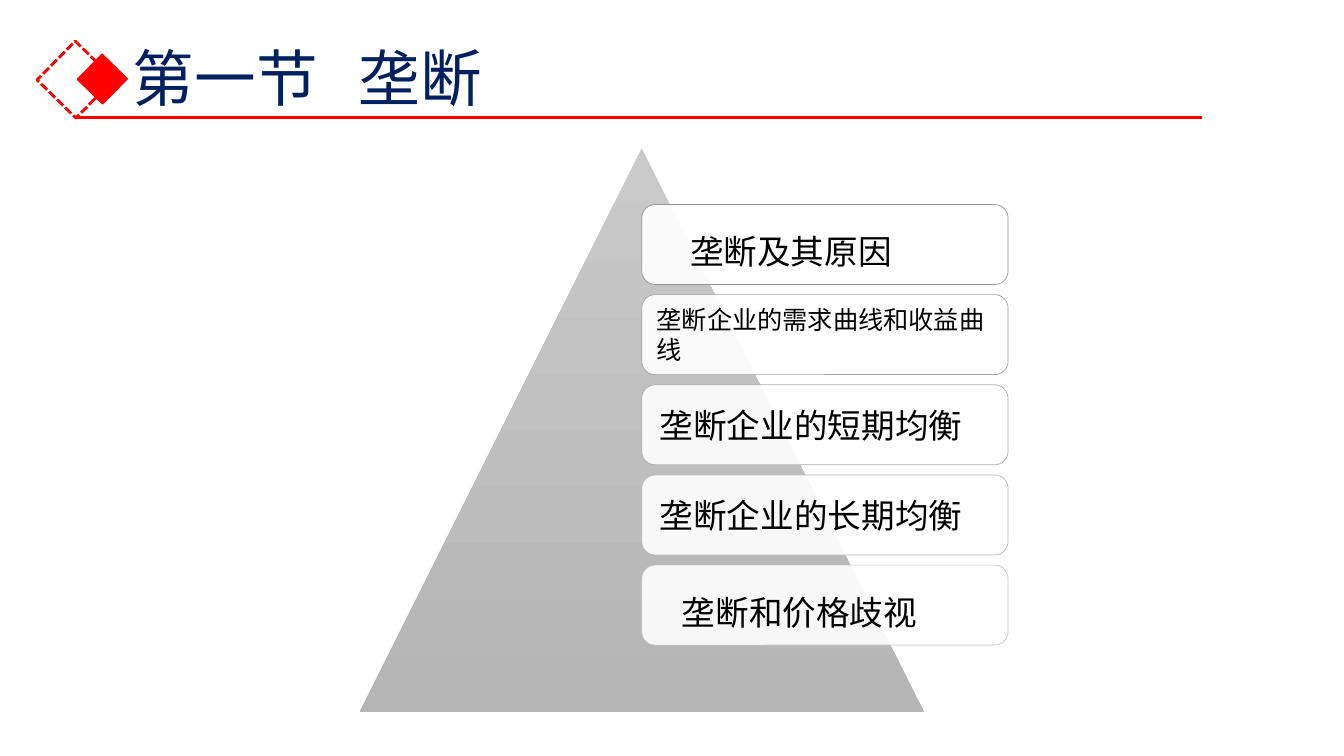
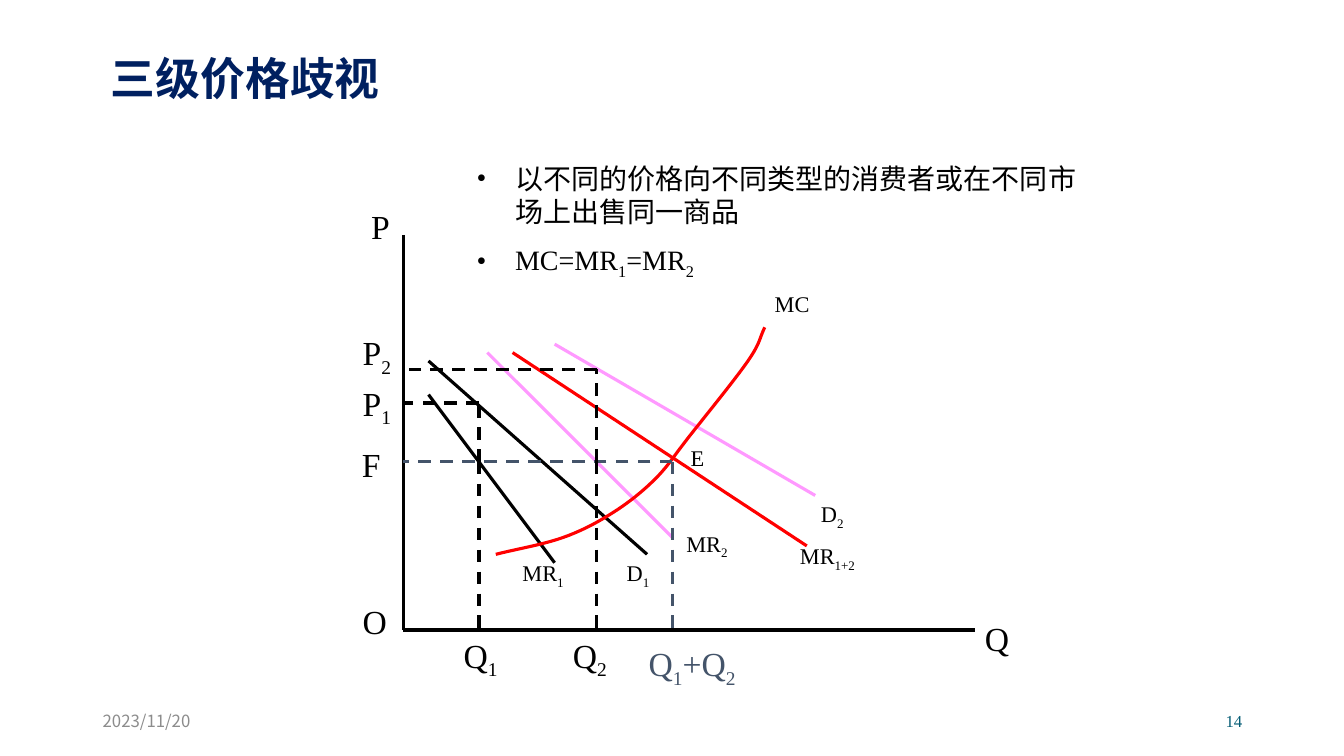
from dataclasses import dataclass
from itertools import pairwise

from lxml.etree import SubElement
from pptx import Presentation
from pptx.dml.color import RGBColor
from pptx.enum.dml import MSO_LINE
from pptx.enum.shapes import MSO_CONNECTOR, MSO_SHAPE
from pptx.enum.text import MSO_ANCHOR, PP_ALIGN
from pptx.oxml.ns import qn
from pptx.util import Inches, Pt


@dataclass(frozen=True)
class Theme:
    """Colours, fonts and sizes shared by all slides."""
    sans: str = "Noto Sans CJK SC"
    serif: str = "Times New Roman"
    navy: str = "002060"
    red: str = "FF0000"
    black: str = "000000"
    white: str = "FFFFFF"
    pink: str = "FF99FF"
    slate: str = "44546A"
    grey: str = "8C8C8C"
    teal: str = "045C75"
    light: str = "C9C9C9"
    dark: str = "B5B5B5"
    section: int = 44
    heading: int = 32
    large: int = 24
    body: int = 20
    medium: int = 18
    small: int = 16
    footer: int = 12
    stroke: float = 2.25


@dataclass(frozen=True)
class Box:
    """A rectangle in inches."""
    left: float
    top: float
    width: float
    height: float

    def inner(self, left, top, width, height):
        """Return an inner box given as shares of this one."""
        return Box(self.left + left * self.width, self.top + top * self.height,
                   width * self.width, height * self.height)

    def lengths(self):
        """Return the four lengths for python-pptx."""
        return [Inches(v) for v in (self.left, self.top, self.width, self.height)]


THEME = Theme()
SLIDE = Box(0, 0, 13.33, 7.5)


def rgb(code):
    """Turn a hex code into a colour."""
    return RGBColor.from_string(code)


def style(para, size, colour, font=THEME.sans, bold=None):
    """Set one font on a whole paragraph."""
    para.font.size, para.font.name, para.font.bold = Pt(size), font, bold
    para.font.color.rgb = rgb(colour)
    if font == THEME.sans:
        props = para._p.get_or_add_pPr().find(qn("a:defRPr"))
        SubElement(props, qn("a:ea")).set("typeface", font)


def write(para, text):
    """Fill a paragraph; every second piece between underscores is a subscript."""
    for index, piece in enumerate(text.split("_")):
        span = para.add_run()
        span.text = piece
        if index % 2:
            span._r.get_or_add_rPr().set("baseline", "-25000")


def add_text(page, box, text, size, colour, font=THEME.sans, bold=None,
             anchor=MSO_ANCHOR.TOP, align=PP_ALIGN.LEFT):
    """Add a one-paragraph text box and return its paragraph."""
    frame = page.shapes.add_textbox(*box.lengths()).text_frame
    frame.word_wrap, frame.vertical_anchor = True, anchor
    para = frame.paragraphs[0]
    para.alignment = align
    write(para, text)
    style(para, size, colour, font, bold)
    return para


def add_line(page, start, end, colour, dash=None):
    """Add a straight line between two points in inches."""
    line = page.shapes.add_connector(
        MSO_CONNECTOR.STRAIGHT, *(Inches(v) for v in (*start, *end)))
    line.line.color.rgb, line.line.width = rgb(colour), Pt(THEME.stroke)
    if dash:
        line.line.dash_style = dash
    SubElement(line._element.spPr, qn("a:effectLst"))


def add_preset(page, kind, box, fill=None, line=None, width=1):
    """Add a flat preset shape."""
    shape = page.shapes.add_shape(kind, *box.lengths())
    shape.shadow.inherit = False
    if fill:
        shape.fill.solid()
        shape.fill.fore_color.rgb = rgb(fill)
    else:
        shape.fill.background()
    if line:
        shape.line.color.rgb, shape.line.width = rgb(line), Pt(width)
    else:
        shape.line.fill.background()
    return shape


def section_heading(page, box, number, name):
    """Draw the diamond badge, the section title and its rule."""
    para = add_text(page, box, f"{number}\t{name}", THEME.section, THEME.navy,
                    anchor=MSO_ANCHOR.MIDDLE)
    para.line_spacing = 0.9
    defaults = para._p.get_or_add_pPr().find(qn("a:defRPr"))
    stops = defaults.makeelement(qn("a:tabLst"))
    defaults.addprevious(stops)
    stop = SubElement(stops, qn("a:tab"))
    stop.set("pos", str(Inches(2.24)))
    stop.set("algn", "l")

    left, top = box.left, box.top
    frame = add_preset(page, MSO_SHAPE.RECTANGLE,
                       Box(left - 0.74, top + 0.44, 0.54, 0.54), line=THEME.red, width=2)
    frame.line.dash_style = MSO_LINE.SQUARE_DOT
    core = add_preset(page, MSO_SHAPE.RECTANGLE,
                      Box(left - 0.38, top + 0.53, 0.35, 0.35), THEME.red, THEME.red)
    frame.rotation = core.rotation = 314.5
    add_line(page, (left - 0.47, top + 1.09), (left + 10.7, top + 1.09), THEME.red)


def topic_card(page, box, text, size, edge, indent, drop):
    """Draw one translucent rounded card with its topic."""
    card = add_preset(page, MSO_SHAPE.ROUNDED_RECTANGLE, box, THEME.white, edge, 0.5)
    colour = card._element.spPr.find(qn("a:solidFill"))[0]
    SubElement(colour, qn("a:alpha")).set("val", "90000")
    frame = card.text_frame
    frame.word_wrap, frame.vertical_anchor = True, MSO_ANCHOR.MIDDLE
    frame.margin_left, frame.margin_right = Inches(0.11 + indent), Inches(0.11)
    frame.margin_top, frame.margin_bottom = Inches(0.05 + drop), Inches(0.05)
    para = frame.paragraphs[0]
    para.alignment = PP_ALIGN.LEFT
    write(para, text)
    style(para, size, THEME.black)


def topic_pyramid(page, box, topics):
    """Draw the grey pyramid with a column of topic cards."""
    pyramid = add_preset(page, MSO_SHAPE.ISOSCELES_TRIANGLE, box)
    pyramid.fill.gradient()
    pyramid.fill.gradient_angle = 270
    for stop, colour in zip(pyramid.fill.gradient_stops, (THEME.light, THEME.dark)):
        stop.color.rgb = rgb(colour)
    for row, (text, size, indent, drop) in enumerate(topics):
        edge = f"{0x96 + 12 * row:02X}" * 3
        topic_card(page, box.inner(0.5, 0.1 + 0.16 * row, 0.65, 0.142),
                   text, size, edge, indent, drop)


def bullet_list(page, box, items):
    """Write the bulleted remarks."""
    frame = page.shapes.add_textbox(*box.lengths()).text_frame
    frame.word_wrap = True
    for index, item in enumerate(items):
        para = frame.add_paragraph() if index else frame.paragraphs[0]
        if index:
            para.space_before = Pt(THEME.body / 2)
        write(para, item)
        props = para._p.get_or_add_pPr()
        props.set("marL", str(Inches(0.38)))
        props.set("indent", str(-Inches(0.38)))
        SubElement(props, qn("a:buFont")).set("typeface", THEME.serif)
        SubElement(props, qn("a:buChar")).set("char", "•")
        style(para, THEME.body, THEME.black, THEME.serif)


def smooth(knots, steps=10):
    """Return points on a Catmull-Rom curve through the knots."""
    def mirror(end, neighbour):
        return tuple(2 * a - b for a, b in zip(end, neighbour))

    chain = [mirror(knots[0], knots[1]), *knots, mirror(knots[-1], knots[-2])]
    points = [knots[0]]
    for span in zip(chain, chain[1:], chain[2:], chain[3:]):
        for step in range(1, steps + 1):
            t = step / steps
            points.append(tuple(
                b + t * (c - a) / 2 + t * t * (2 * a - 5 * b + 4 * c - d) / 2
                + t ** 3 * (3 * b - a - 3 * c + d) / 2
                for a, b, c, d in zip(*span)))
    return points


def price_chart(page, box):
    """Draw the price discrimination diagram on a grid of 68 columns and 47 rows."""
    column, row = box.width / 68, box.height / 47

    def at(x, y):
        return box.left + x * column, box.top + box.height - y * row

    def line(start, end, colour, dash=None):
        add_line(page, at(*start), at(*end), colour, dash)

    for start, end, colour in (
            ((0, 47), (0, 0), THEME.black), ((0, 0), (68, 0), THEME.black),
            ((3, 28), (18, 8), THEME.black), ((3, 32), (29, 9), THEME.black),
            ((18, 34), (49, 16), THEME.pink), ((10, 33), (32, 11), THEME.pink),
            ((13, 33), (48, 10), THEME.red)):
        line(start, end, colour)

    knots = [(11, 9), (19, 11), (25, 14), (30, 18), (34, 23), (41, 32), (43, 36)]
    points = [tuple(Inches(v) for v in at(*point)) for point in smooth(knots)]
    builder = page.shapes.build_freeform(*points[0])
    builder.add_line_segments(points[1:], close=False)
    cost = builder.convert_to_shape()
    cost.shadow.inherit = False
    cost.fill.background()
    cost.line.color.rgb, cost.line.width = rgb(THEME.red), Pt(THEME.stroke)

    level = 20
    for quantity, price, colour in ((32, level, THEME.slate), (9, 27, THEME.black),
                                    (23, 31, THEME.black)):
        corners = [(quantity, level), (quantity, price), (0, price)]
        line((quantity, level), (quantity, 0), colour, MSO_LINE.DASH)
        for start, end in pairwise(corners):
            if start != end:
                line(start, end, colour, MSO_LINE.DASH)

    axis_labels = (("O", -6, 4), ("Q", 68, 2), ("P", -5, 51), ("F", -6.1, 22.7),
                   ("P_1", -6, 30), ("P_2", -6, 36), ("Q_1", 6, 0), ("Q_2", 19, 0),
                   ("Q_1_+Q_2", 28, -1))
    curve_labels = (("D_1", 25.4, 9), ("D_2", 48.5, 16), ("MR_1", 13, 9),
                    ("MR_2", 32.5, 12.5), ("MR_1+2", 46, 11), ("MC", 43, 41),
                    ("E", 33, 22.7))
    for labels, size, height in ((axis_labels, THEME.large, 6),
                                 (curve_labels, THEME.small, 4.4)):
        for text, x, y in labels:
            width = 9 if len(text) < 5 else 18 if size == THEME.large else 13
            colour = THEME.slate if "+Q" in text else THEME.black
            add_text(page, Box(*at(x, y), width * column, height * row),
                     text, size, colour, THEME.serif)


def page_footer(page, box, date, number):
    """Write the date on the left and the page number on the right."""
    add_text(page, box.inner(0, 0, 0.26, 1), date, THEME.footer, THEME.grey,
             anchor=MSO_ANCHOR.MIDDLE)
    add_text(page, box.inner(0.74, 0, 0.26, 1), number, THEME.footer, THEME.teal,
             THEME.serif, anchor=MSO_ANCHOR.MIDDLE, align=PP_ALIGN.RIGHT)


def section_slide(page):
    """Build the section overview."""
    section_heading(page, Box(1.22, 0.08, 11.2, 1.45), "第一节", "垄断")
    topic_pyramid(page, Box(3.57, 1.47, 5.59, 5.59), (
        ("垄断及其原因", THEME.large, 0.33, 0.13),
        ("垄断企业的需求曲线和收益曲线", THEME.medium, 0, 0),
        ("垄断企业的短期均衡", THEME.large, 0.03, 0),
        ("垄断企业的长期均衡", THEME.large, 0.03, 0),
        ("垄断和价格歧视", THEME.large, 0.25, 0.13)))


def discrimination_slide(page):
    """Build the third-degree price discrimination slide."""
    heading = add_text(page, Box(1, 0.51, 9, 0.6), "三级价格歧视",
                       THEME.heading, THEME.navy, bold=True)
    heading.line_spacing = 0.9
    price_chart(page, Box(4, 2.33, 5.67, 3.92))
    bullet_list(page, Box(4.63, 1.55, 6.25, 1.28), (
        "以不同的价格向不同类型的消费者或在不同市场上出售同一商品", "MC=MR_1_=MR_2"))
    page_footer(page, Box(0.92, 6.95, 11.5, 0.4), "2023/11/20", "14")


def main():
    """Build and save the deck."""
    deck = Presentation()
    deck.slide_width, deck.slide_height = Inches(SLIDE.width), Inches(SLIDE.height)
    for build in (section_slide, discrimination_slide):
        build(deck.slides.add_slide(deck.slide_layouts[6]))
    deck.save("out.pptx")


if __name__ == "__main__":
    main()
